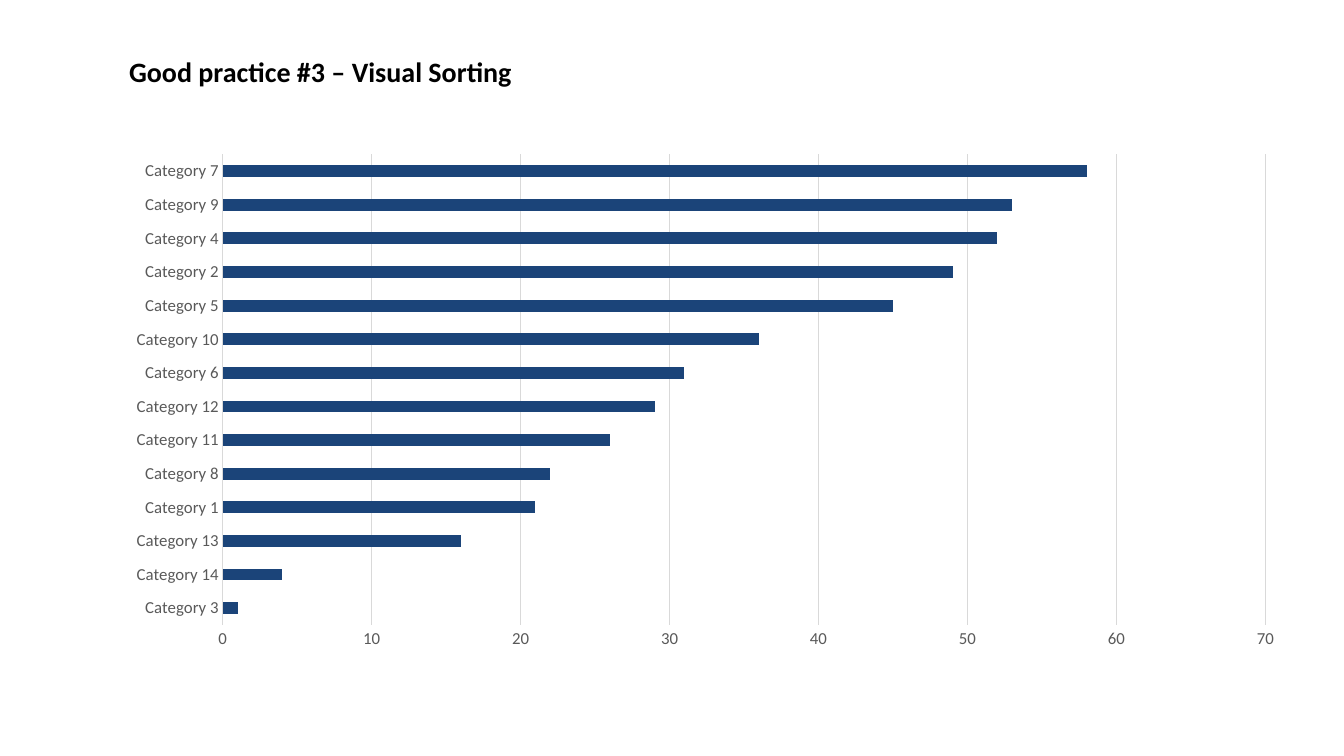
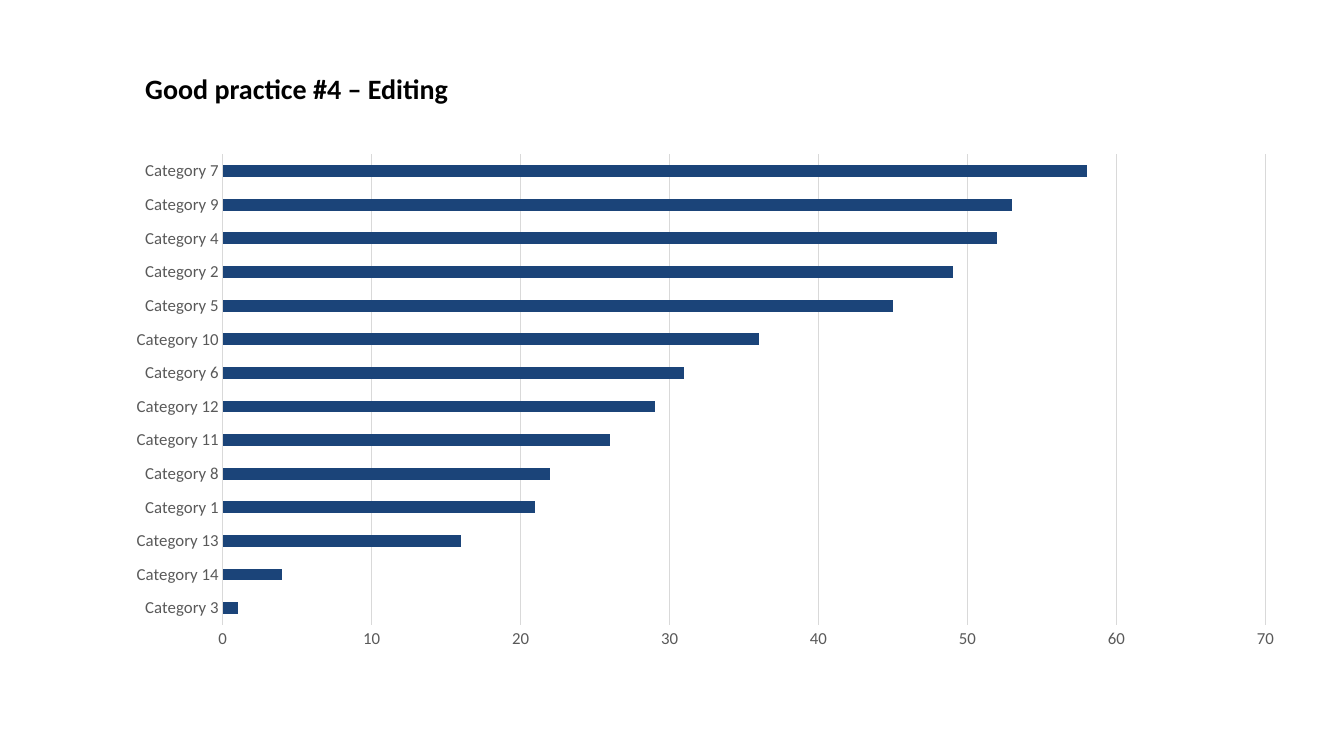
from pptx import Presentation
from pptx.chart.data import CategoryChartData
from pptx.dml.color import RGBColor
from pptx.enum.chart import XL_CHART_TYPE, XL_TICK_MARK
from pptx.enum.text import MSO_ANCHOR
from pptx.util import Inches, Pt

BAR_CLUSTERED = XL_CHART_TYPE.BAR_CLUSTERED
NO_TICK = XL_TICK_MARK.NONE
MIDDLE = MSO_ANCHOR.MIDDLE

FONT = "Calibri"
BLACK = RGBColor(0x00, 0x00, 0x00)
LABEL_GRAY = RGBColor(0x59, 0x59, 0x59)
GRID_GRAY = RGBColor(0xD9, 0xD9, 0xD9)
BAR_BLUE = RGBColor(0x1B, 0x44, 0x79)

TITLE_SIZE = (4.43, 0.38)
CHART_BOX = (1.12, 1.43, 11.75, 5.11)

RANKING = [
    (3, 1), (14, 4), (13, 16), (1, 21), (8, 22), (11, 26), (12, 29),
    (6, 31), (10, 36), (5, 45), (2, 49), (4, 52), (9, 53), (7, 58),
]

PRACTICES = [
    ("Good practice #3 – Visual Sorting", (1.28, 0.54)),
    ("Good practice #4 – Editing", (1.44, 0.71)),
]


def style_font(font, size, color, bold=False):
    font.name = FONT
    font.size = Pt(size)
    font.color.rgb = color
    font.bold = bold


def style_line(line):
    line.color.rgb = GRID_GRAY
    line.width = Pt(0.75)


def add_title(slide, text, box):
    frame = slide.shapes.add_textbox(*map(Inches, box)).text_frame
    frame.word_wrap = True
    frame.vertical_anchor = MIDDLE
    frame.margin_left = frame.margin_right = 0
    frame.margin_top = frame.margin_bottom = 0
    title = frame.paragraphs[0]
    title.text = text
    title.line_spacing = 0.9
    style_font(title.font, 20, BLACK, bold=True)


def add_ranking_chart(slide, box):
    data = CategoryChartData()
    data.categories = [f"Category {number}" for number, _ in RANKING]
    data.add_series("Series 1", [value for _, value in RANKING])
    chart = slide.shapes.add_chart(
        BAR_CLUSTERED, *map(Inches, box), data).chart
    chart.has_title = False
    chart.has_legend = False
    style_font(chart.font, 10, BLACK)

    bars = chart.plots[0]
    bars.gap_width = 182
    bars.vary_by_categories = False
    fill = bars.series[0].format.fill
    fill.solid()
    fill.fore_color.rgb = BAR_BLUE

    for axis in (chart.category_axis, chart.value_axis):
        axis.major_tick_mark = NO_TICK
        axis.minor_tick_mark = NO_TICK
        style_font(axis.tick_labels.font, 12, LABEL_GRAY)
    style_line(chart.category_axis.format.line)

    values = chart.value_axis
    values.minimum_scale = 0
    values.maximum_scale = 70
    values.major_unit = 10
    values.format.line.fill.background()
    values.has_major_gridlines = True
    style_line(values.major_gridlines.format.line)


def add_practice_slide(prs, title, title_corner):
    slide = prs.slides.add_slide(prs.slide_layouts[6])
    add_ranking_chart(slide, CHART_BOX)
    add_title(slide, title, title_corner + TITLE_SIZE)


def main():
    prs = Presentation()
    prs.slide_width = Inches(13.33)
    prs.slide_height = Inches(7.5)
    for title, title_corner in PRACTICES:
        add_practice_slide(prs, title, title_corner)
    prs.save("out.pptx")


if __name__ == "__main__":
    main()
